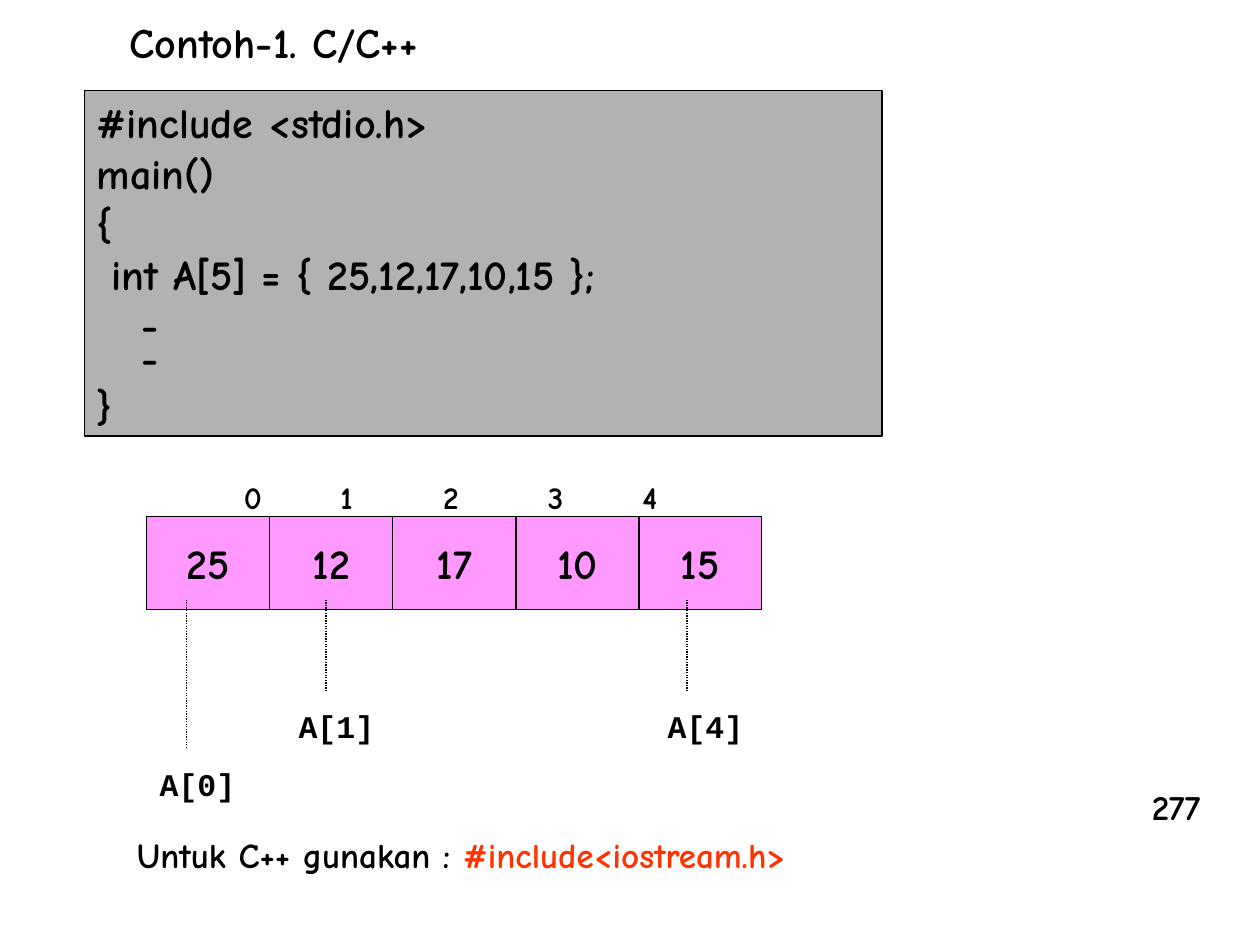
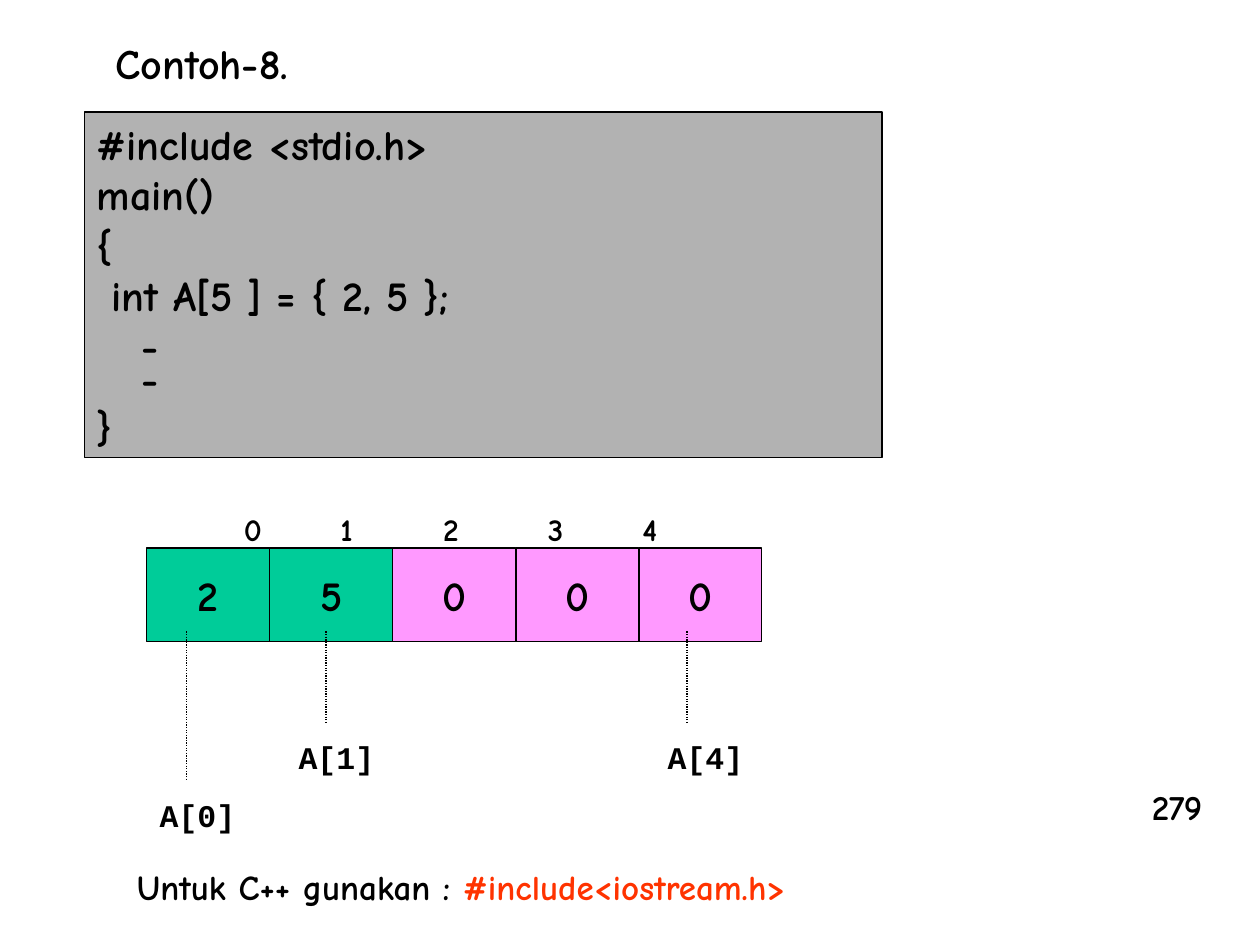
from lxml import etree
from pptx import Presentation
from pptx.dml.color import RGBColor
from pptx.enum.dml import MSO_LINE
from pptx.enum.shapes import MSO_CONNECTOR, MSO_SHAPE
from pptx.enum.text import MSO_ANCHOR, MSO_AUTO_SIZE, PP_ALIGN
from pptx.oxml.ns import qn
from pptx.util import Cm, Pt

RECT, STRAIGHT, DOTTED = MSO_SHAPE.RECTANGLE, MSO_CONNECTOR.STRAIGHT, MSO_LINE.ROUND_DOT
TOP, MIDDLE = MSO_ANCHOR.TOP, MSO_ANCHOR.MIDDLE
LEFT, CENTER = PP_ALIGN.LEFT, PP_ALIGN.CENTER
GROW, FIXED = MSO_AUTO_SIZE.SHAPE_TO_FIT_TEXT, MSO_AUTO_SIZE.NONE

BLACK, GRAY, PINK, GREEN, RED = "000000", "B2B2B2", "FF99FF", "00CC99", "FF3300"
FONT, MONO = "Comic Neue", "Courier New"

CELL_LEFT, CELL_W, CELL_H = 2.96, 2.48, 1.88
INDEX_TABS = [0.38, 2.27, 4.37, 6.48, 8.38]
# label, label left, line x, line end and label top below the cells' top
POINTERS = [
    ("A[0]", 2.97, 3.76, 4.65, 4.88),
    ("A[1]", 5.77, 6.57, 3.53, 3.71),
    ("A[4]", 13.21, 13.85, 3.53, 3.71),
]

SLIDES = [
    dict(title="Contoh-1. C/C++", title_left=2.36, title_w=6.35, code_top=1.83,
         declaration=" int A[5] = { 25,12,17,10,15 };", cells_top=10.41,
         values=[25, 12, 17, 10, 15], given=0, page="277"),
    dict(title="Contoh-8.", title_left=2.08, title_w=4.01, code_top=2.26,
         declaration=" int A[5 ] = { 2, 5 };", cells_top=11.05,
         values=[2, 5, 0, 0, 0], given=2, page="279"),
]


def rgb(color):
    return RGBColor.from_string(color)


class Deck:
    def __init__(self):
        self.prs = Presentation()
        self.prs.slide_width, self.prs.slide_height = Cm(25.4), Cm(19.05)
        self.s = None

    def new_slide(self):
        self.s = self.prs.slides.add_slide(self.prs.slide_layouts[6])

    def fill_frame(self, tf, lines, size, font=FONT, align=LEFT, tabs=(), **frame):
        """Each line is a list of (text, colour) runs."""
        for name, value in frame.items():
            setattr(tf, name, value)
        for i, runs in enumerate(lines):
            p = tf.add_paragraph() if i else tf.paragraphs[0]
            p.alignment = align
            if tabs:
                tab_list = etree.SubElement(p._p.get_or_add_pPr(), qn("a:tabLst"))
                for pos in tabs:
                    etree.SubElement(tab_list, qn("a:tab"), pos=str(int(Cm(pos))), algn="ctr")
            for text, color in runs:
                r = p.add_run()
                r.text = text
                for name, value in dict(name=font, size=Pt(size), bold=True).items():
                    setattr(r.font, name, value)
                r.font.color.rgb = rgb(color)

    def text(self, x, y, w, h, runs, size, wrap=False, **style):
        sp = self.s.shapes.add_textbox(Cm(x), Cm(y), Cm(w), Cm(h))
        self.fill_frame(sp.text_frame, [runs], size, word_wrap=wrap, auto_size=GROW, **style)

    def box(self, x, y, w, h, fill, lines, **style):
        sp = self.s.shapes.add_shape(RECT, Cm(x), Cm(y), Cm(w), Cm(h))
        sp.shadow.inherit = False
        sp.fill.solid()
        sp.fill.fore_color.rgb = rgb(fill)
        sp.line.color.rgb = rgb(BLACK)
        sp.line.width = Pt(0.75)
        self.fill_frame(sp.text_frame, [[(line, BLACK)] for line in lines], 24, **style)
        return sp

    def dotted_line(self, x, y1, y2):
        c = self.s.shapes.add_connector(STRAIGHT, Cm(x), Cm(y1), Cm(x), Cm(y2))
        c.line.color.rgb = rgb(BLACK)
        c.line.width = Pt(0.75)
        c.line.dash_style = DOTTED
        etree.SubElement(c._element.spPr, qn("a:effectLst"))

    def code(self, top, declaration):
        lines = ["#include <stdio.h>", "main()", "{", declaration, "   -", "   -", "}"]
        sp = self.box(1.7, top, 16.08, 6.96, GRAY, lines, vertical_anchor=TOP,
                      word_wrap=True, auto_size=GROW)
        sp.text_frame.paragraphs[5].line_spacing = 0.6

    def array(self, top, values, given):
        # Indexes above the cells
        indexes = "".join(f"\t{i}" for i in range(len(values)))
        self.text(4.47, top - 0.89, 9.04, 1.02, [(indexes, BLACK)], 18, wrap=True,
                  tabs=INDEX_TABS)
        # Cells, the given values in green
        for i, value in enumerate(values):
            self.box(CELL_LEFT + i * CELL_W, top, CELL_W, CELL_H,
                     GREEN if i < given else PINK, [str(value)], align=CENTER,
                     vertical_anchor=MIDDLE, word_wrap=False, auto_size=FIXED)
        # Element names below
        for label, left, x, line_end, label_top in POINTERS:
            self.text(left, top + label_top, 2.03, 1.02, [(label, BLACK)], 18, font=MONO)
            self.dotted_line(x, top + 1.68, top + line_end)


def main():
    deck = Deck()
    for d in SLIDES:
        deck.new_slide()
        top = d["cells_top"]
        deck.text(d["title_left"], d["code_top"] - 1.63, d["title_w"], 1.27,
                  [(d["title"], BLACK)], 24)
        deck.code(d["code_top"], d["declaration"])
        deck.array(top, d["values"], d["given"])
        # Closing note and page number
        deck.text(2.51, top + 6.27, 13.61, 1.12,
                  [("Untuk C++ gunakan : ", BLACK), ("#include<iostream.h>", RED)], 20)
        deck.text(22.97, 15.72, 1.52, 1.12, [(d["page"], BLACK)], 20)
    deck.prs.save("out.pptx")


if __name__ == "__main__":
    main()
